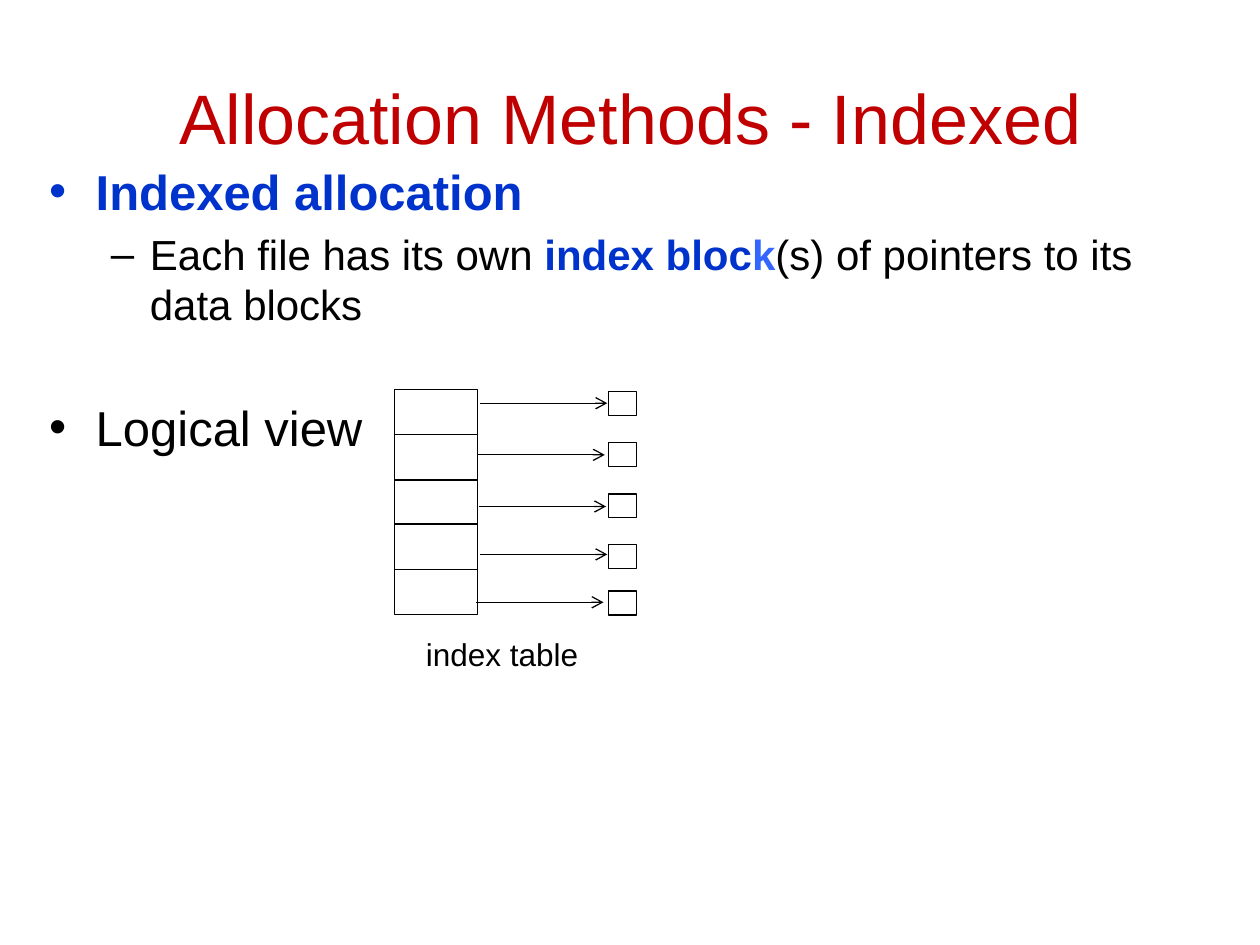
from dataclasses import dataclass

from lxml.etree import SubElement
from pptx import Presentation
from pptx.dml.color import RGBColor
from pptx.enum.shapes import MSO_CONNECTOR, MSO_SHAPE
from pptx.enum.text import MSO_ANCHOR, MSO_AUTO_SIZE, PP_ALIGN
from pptx.oxml.ns import qn
from pptx.util import Pt

SCALE = 9144


@dataclass(frozen=True)
class Theme:
    """Colours, font and type sizes of the slide."""

    font: str = "Arial"
    ink: str = "000000"
    paper: str = "FFFFFF"
    title: str = "C00000"
    strong: str = "0033CC"
    bright: str = "3366FF"
    title_size: int = 40
    topic_size: int = 28
    detail_size: int = 24
    label_size: int = 18
    line_width: float = 0.75


@dataclass(frozen=True)
class Box:
    """A rectangle in px."""

    left: int
    top: int
    width: int
    height: int

    def inner(self, left, top, width, height):
        """Return a box placed relative to this one."""
        return Box(self.left + left, self.top + top, width, height)

    def emu(self):
        """Return left, top, width and height in EMU."""
        return [length * SCALE for length in (self.left, self.top, self.width, self.height)]


THEME = Theme()


def place(shape, box):
    """Move a shape to a box."""
    shape.left, shape.top, shape.width, shape.height = box.emu()


def write(para, text, size, color=THEME.ink, bold=False):
    """Add formatted text to a paragraph."""
    span = para.add_run()
    span.text = text
    span.font.name = THEME.font
    span.font.size = Pt(size)
    span.font.bold = bold
    span.font.color.rgb = RGBColor.from_string(color)


def add_title(slide, box):
    """Fill the title placeholder."""
    title = slide.shapes.title
    place(title, box)
    frame = title.text_frame
    frame.auto_size = MSO_AUTO_SIZE.NONE
    frame.vertical_anchor = MSO_ANCHOR.MIDDLE
    para = frame.paragraphs[0]
    para.alignment = PP_ALIGN.CENTER
    write(para, "Allocation Methods - Indexed", size=THEME.title_size, color=THEME.title)


def add_body(slide, box):
    """Fill the body placeholder with the bulleted list."""
    body = slide.placeholders[1]
    place(body, box)
    frame = body.text_frame
    frame.auto_size = MSO_AUTO_SIZE.NONE
    topic, detail, view = frame.paragraphs[0], frame.add_paragraph(), frame.add_paragraph()
    for para, level, margin, indent, gap in (
        (topic, 0, 38, -37, 5.6),
        (detail, 1, 81, -31, 4.8),
        (view, 0, 38, -37, 38.8),
    ):
        para.level = level
        para.space_before = Pt(gap)
        properties = para._p.get_or_add_pPr()
        properties.set("marL", str(margin * SCALE))
        properties.set("indent", str(indent * SCALE))
    write(topic, "Indexed allocation", size=THEME.topic_size, color=THEME.strong, bold=True)
    write(detail, "Each file has its own ", size=THEME.detail_size)
    write(detail, "index bloc", size=THEME.detail_size, color=THEME.strong, bold=True)
    write(detail, "k", size=THEME.detail_size, color=THEME.bright, bold=True)
    write(detail, "(s) of pointers to its data blocks", size=THEME.detail_size)
    write(view, "Logical view", size=THEME.topic_size)


def style_line(line):
    """Give a line the diagram's colour and width."""
    line.color.rgb = RGBColor.from_string(THEME.ink)
    line.width = Pt(THEME.line_width)


def add_cell(slide, box):
    """Draw one outlined rectangle."""
    cell = slide.shapes.add_shape(MSO_SHAPE.RECTANGLE, *box.emu())
    cell.shadow.inherit = False
    cell.fill.solid()
    cell.fill.fore_color.rgb = RGBColor.from_string(THEME.paper)
    style_line(cell.line)


def add_pointer(slide, box):
    """Draw a level arrow along the top of a box."""
    left, top, width, _ = box.emu()
    pointer = slide.shapes.add_connector(MSO_CONNECTOR.STRAIGHT, left, top, left + width, top)
    style_line(pointer.line)
    SubElement(pointer.line._get_or_add_ln(), qn("a:tailEnd"), type="arrow")
    SubElement(pointer._element.spPr, qn("a:effectLst"))


def add_label(slide, box, text):
    """Write a centred label."""
    frame = slide.shapes.add_textbox(*box.emu()).text_frame
    frame.word_wrap = False
    frame.auto_size = MSO_AUTO_SIZE.SHAPE_TO_FIT_TEXT
    frame.vertical_anchor = MSO_ANCHOR.MIDDLE
    para = frame.paragraphs[0]
    para.alignment = PP_ALIGN.CENTER
    para.space_before = Pt(9)
    write(para, text, size=THEME.label_size)


def add_index_diagram(slide, box):
    """Draw the index table with its pointers to data blocks."""
    block_tops = (2, 42, 83, 123, 160)
    pointers = ((68, 11), (66, 52), (67, 93), (68, 131), (65, 169))
    for row in range(len(block_tops)):
        add_cell(slide, box.inner(0, round(row * 35.75), 66, 36))
    for top in block_tops:
        add_cell(slide, box.inner(170, top, 22, 19))
    for left, top in pointers:
        add_pointer(slide, box.inner(left, top, 101, 0))
    add_label(slide, box.inner(15, 190, 141, 40), "index table")


def main():
    """Build and save the slide."""
    deck = Presentation()
    deck.slide_width, deck.slide_height = 1000 * SCALE, 750 * SCALE
    slide = deck.slides.add_slide(deck.slide_layouts[1])
    add_title(slide, Box(50, 30, 900, 125))
    add_body(slide, Box(28, 123, 900, 495))
    add_index_diagram(slide, Box(313, 309, 192, 230))
    deck.save("out.pptx")


if __name__ == "__main__":
    main()
